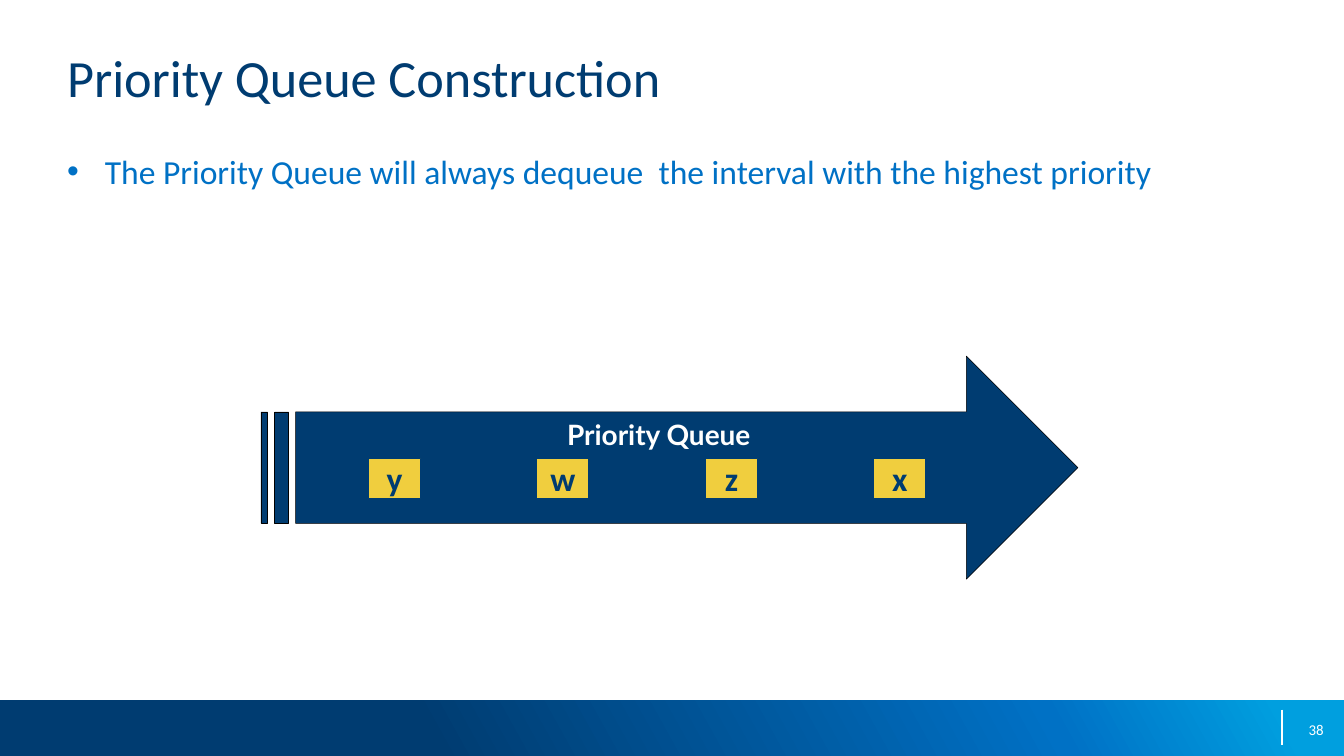
from copy import deepcopy

from lxml.etree import SubElement
from pptx import Presentation
from pptx.dml.color import RGBColor
from pptx.enum.shapes import MSO_CONNECTOR, MSO_SHAPE
from pptx.enum.text import MSO_ANCHOR, PP_ALIGN
from pptx.oxml.ns import qn
from pptx.util import Inches, Pt

NAVY, BLUE, CYAN, YELLOW, WHITE, BLACK = (
    "003C71", "0071C5", "009FDF", "F0CE3E", "FFFFFF", "000000")


def color(value):
    """Turn a hex string into a colour."""
    return RGBColor.from_string(value)


def write(shape, text, font, anchor=MSO_ANCHOR.TOP, align=PP_ALIGN.LEFT,
          margins=(0, 0), wrap=True):
    """Fill a shape with one formatted paragraph and return it."""
    frame = shape.text_frame
    side, edge = (Inches(margin) for margin in margins)
    layout = {"margin_left": side, "margin_right": side, "margin_top": edge,
              "margin_bottom": edge, "vertical_anchor": anchor,
              "word_wrap": wrap}
    for name, value in layout.items():
        setattr(frame, name, value)
    para = frame.paragraphs[0]
    para.alignment = align
    span = para.add_run()
    span.text = text
    span.font.color.rgb = color(font["color"])
    for name in ("name", "size", "bold"):
        setattr(span.font, name, font.get(name))
    return para


def add_label(page, box, text, font, **layout):
    """Place a text box and return its paragraph."""
    label = page.shapes.add_textbox(*map(Inches, box))
    return write(label, text, font, **layout)


def add_block(page, kind, box, fill=None, line=None, width=0):
    """Place a preset shape with a flat fill and an optional outline."""
    block = page.shapes.add_shape(kind, *map(Inches, box))
    block.shadow.inherit = False
    if fill:
        block.fill.solid()
        block.fill.fore_color.rgb = color(fill)
    if line:
        block.line.color.rgb = color(line)
        block.line.width = Pt(width)
    else:
        block.line.fill.background()
    return block


def add_footer(page, box, number):
    """Draw the gradient band with its divider and page number."""
    left, top, width, height = box
    band = add_block(page, MSO_SHAPE.RECTANGLE, box)
    band.fill.gradient()
    band.fill.gradient_angle = 29
    stop_list = band._element.spPr.find(qn("a:gradFill")).find(qn("a:gsLst"))
    stop_list.append(deepcopy(stop_list[0]))
    stops = ((0.32, NAVY), (0.78, BLUE), (0.95, CYAN))
    for stop, (position, value) in zip(band.fill.gradient_stops, stops):
        stop.position = position
        stop.color.rgb = color(value)

    x = left + width - 0.46
    divider = page.shapes.add_connector(
        MSO_CONNECTOR.STRAIGHT, Inches(x), Inches(top + 0.07),
        Inches(x), Inches(top + 0.33))
    divider.line.color.rgb = color(WHITE)
    divider.line.width = Pt(0.75)
    SubElement(divider._element.spPr, qn("a:effectLst"))

    add_label(page, (left + width - 2.48, top + 0.07, 2.33, 0.3), number,
              {"name": "Calibri", "size": Pt(8), "color": WHITE},
              anchor=MSO_ANCHOR.MIDDLE, align=PP_ALIGN.RIGHT)


def add_heading(page, box, title, point):
    """Write the title and the bullet point below it."""
    left, top, width, height = box
    add_label(page, (left, top, width, 0.73), title,
              {"name": "Calibri", "size": Pt(28), "color": NAVY})
    para = add_label(page, (left, top + 0.78, width, height - 0.78), point,
                     {"name": "Calibri", "size": Pt(18), "color": BLUE})
    properties = para._p.get_or_add_pPr()
    properties.set("marL", str(Inches(0.28)))
    properties.set("indent", str(Inches(-0.28)))
    SubElement(properties, qn("a:buFont")).set("typeface", "Arial")
    SubElement(properties, qn("a:buChar")).set("char", "•")


def add_queue(page, box, title, items):
    """Draw the queue arrow with evenly spaced item tiles."""
    left, top, width, height = box
    arrow = add_block(page, MSO_SHAPE.STRIPED_RIGHT_ARROW, box,
                      NAVY, BLACK, 0.25)
    write(arrow, title, {"name": "Lato", "size": Pt(15), "bold": True,
                         "color": WHITE},
          align=PP_ALIGN.CENTER, margins=(0.07, 0.04), wrap=False)
    pitch = 3.76 / (len(items) - 1)
    for index, item in enumerate(items):
        tile = add_block(
            page, MSO_SHAPE.RECTANGLE,
            (left + 0.8 + index * pitch, top + 0.76, 0.39, 0.3),
            YELLOW, NAVY, 0.75)
        write(tile, item, {"name": "Calibri", "size": Pt(18), "bold": True,
                           "color": NAVY},
              anchor=MSO_ANCHOR.MIDDLE, align=PP_ALIGN.CENTER)


def main():
    """Build the slide and save it."""
    deck = Presentation()
    deck.slide_width = Inches(10)
    deck.slide_height = deck.slide_width * 9 // 16
    page = deck.slides.add_slide(deck.slide_layouts[6])
    add_footer(page, (0, 5.21, 10, 0.42), "38")
    add_heading(page, (0.5, 0.34, 9, 4.53), "Priority Queue Construction",
                "The Priority Queue will always dequeue  the interval "
                "with the highest priority")
    add_queue(page, (1.94, 2.65, 6.08, 1.66), "Priority Queue", "ywzx")
    deck.save("out.pptx")


if __name__ == "__main__":
    main()
